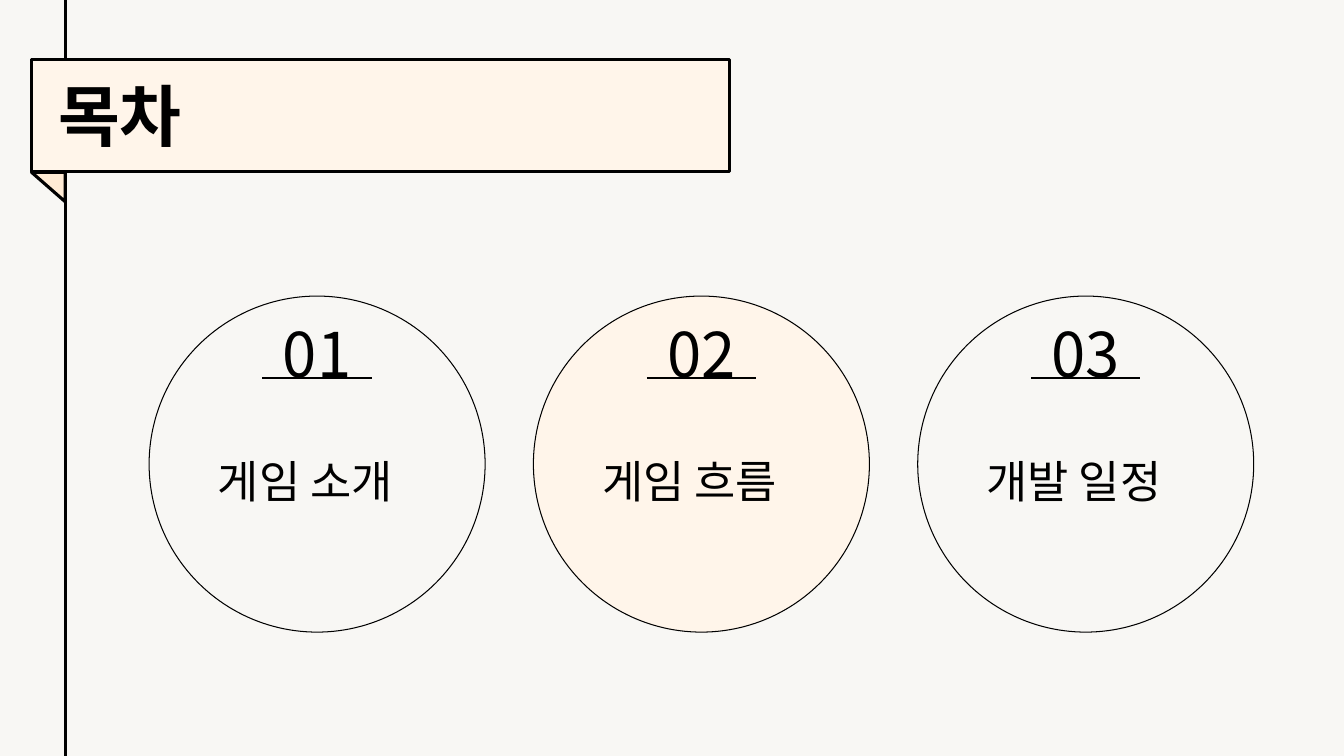
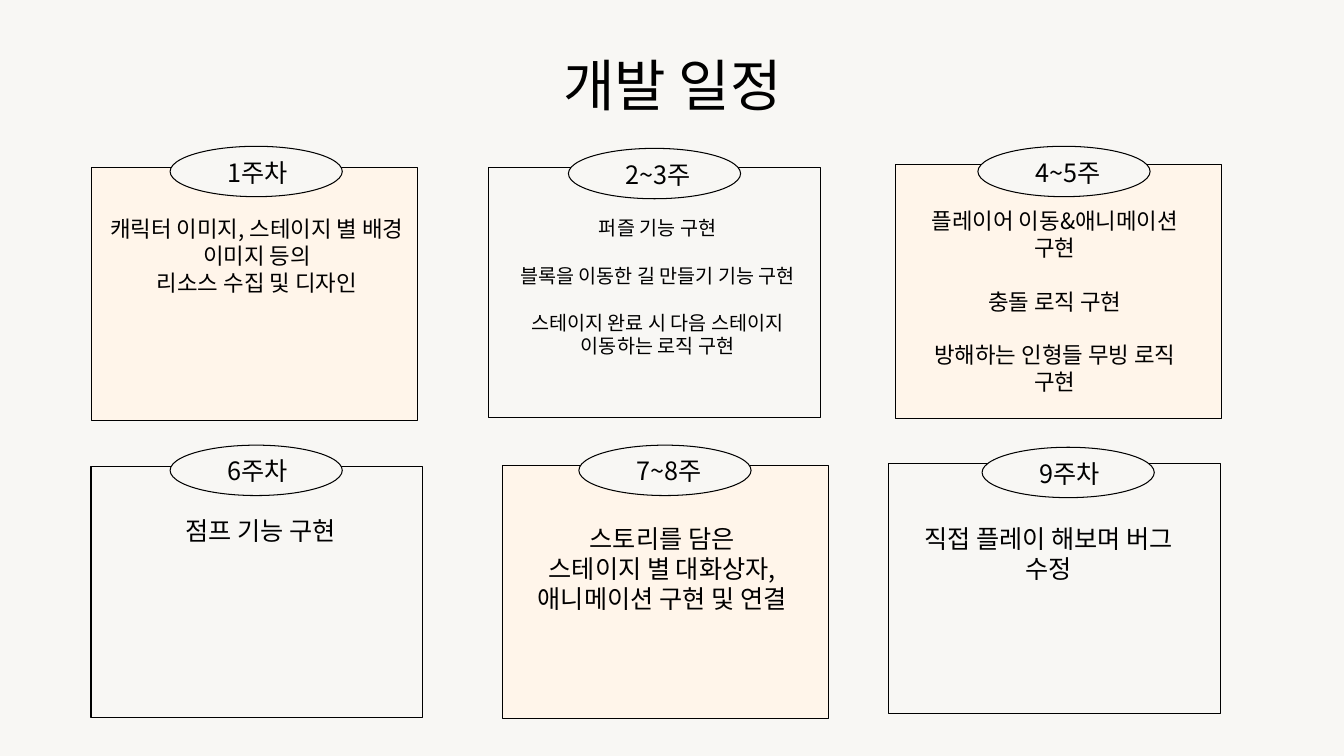
import pptx
import pptx.util
import pptx.dml.color
import pptx.enum.shapes
import pptx.enum.text
import pptx.oxml.ns
import lxml.etree

Pt = pptx.util.Pt
RGB = pptx.dml.color.RGBColor.from_string
MSO = pptx.enum.shapes.MSO_SHAPE
ALIGN = pptx.enum.text.PP_ALIGN
qn = pptx.oxml.ns.qn

COLORS = {"paper": "F8F7F4", "cream": "FFF5EA", "fold": "FFEBD5", "ink": "000000"}
FONT = "Noto Sans CJK KR"

prs = pptx.Presentation()
prs.slide_width, prs.slide_height = Pt(960), Pt(540)


def add_shape(s, kind, x, y, w, h, fill, line):
    sp = s.shapes.add_shape(kind, Pt(x), Pt(y), Pt(w), Pt(h))
    sp.shadow.inherit = False
    sp.fill.solid()
    sp.fill.fore_color.rgb = RGB(COLORS[fill])
    sp.line.color.rgb = RGB(COLORS["ink"])
    sp.line.width = Pt(line)
    return sp


def add_text(s, x, y, w, h, lines, size, align=ALIGN.LEFT, bold=False, gap=0):
    tf = s.shapes.add_textbox(Pt(x), Pt(y), Pt(w), Pt(h)).text_frame
    tf.word_wrap = True
    style = {"size": Pt(size), "bold": bold, "name": FONT}
    for i, line in enumerate(lines):
        p = tf.paragraphs[0] if i == 0 else tf.add_paragraph()
        p.alignment = align
        if i:
            p.space_before = Pt(gap)
        r = p.add_run()
        r.text = line
        for key, value in style.items():
            setattr(r.font, key, value)
        r.font.color.rgb = RGB(COLORS["ink"])
        # Korean glyphs use the East Asian font slot
        lxml.etree.SubElement(r.font._element, qn("a:ea"), typeface=FONT)


# Both slides: blank layout on a paper background
slides = []
for _ in range(2):
    s = prs.slides.add_slide(prs.slide_layouts[6])
    s.background.fill.solid()
    s.background.fill.fore_color.rgb = RGB(COLORS["paper"])
    slides.append(s)
contents, schedule = slides

# Contents: lines are the margin rule and one underline per circle
CIRCLE_X, CIRCLE_Y, CIRCLE_D, PITCH = 106.5, 211.5, 240, 274.5
circles = [(CIRCLE_X + i * PITCH, topic, fill) for i, (topic, fill) in enumerate([
    ("게임 소개", "paper"), ("게임 흐름", "cream"), ("개발 일정", "paper")])]
rules = [(47, 0, 47, 540, 2.25)]
for x, topic, fill in circles:
    mid = x + CIRCLE_D / 2
    add_shape(contents, MSO.OVAL, x, CIRCLE_Y, CIRCLE_D, CIRCLE_D, fill, 0.75)
    rules.append((mid - 39, 270, mid + 39, 270, 1.5))
for x1, y1, x2, y2, width in rules:
    line = contents.shapes.add_connector(
        pptx.enum.shapes.MSO_CONNECTOR.STRAIGHT, Pt(x1), Pt(y1), Pt(x2), Pt(y2))
    line.line.color.rgb = RGB(COLORS["ink"])
    line.line.width = Pt(width)
    lxml.etree.SubElement(line._element.spPr, qn("a:effectLst"))

# Contents: ribbon with its fold, and the title
add_shape(contents, MSO.RECTANGLE, 22.5, 42.5, 498.5, 80, "cream", 2.25)
fold = add_shape(contents, MSO.ISOSCELES_TRIANGLE, 22.5, 123, 24, 21, "fold", 2.25)
fold.adjustments[0] = 0
fold.rotation = 180
add_text(contents, 34.5, 49.5, 487, 65.5, ["목차"], 48, bold=True)

# Contents: number and topic in each circle
for number, (x, topic, fill) in enumerate(circles, 1):
    add_text(contents, x + CIRCLE_D / 2 - 49, 222, 98, 60.5, [f"{number:02}"], 44, ALIGN.CENTER)
    add_text(contents, x + 42, 320.5, 157, 46, [topic], 32)

# Schedule: title
add_text(schedule, 237, 32.5, 487, 55.5, ["개발 일정"], 40, ALIGN.CENTER)

# Schedule: fill -> card width, height, outline
CARDS = {"cream": (233, 181, 0.25), "paper": (237, 179, 0.75)}
# week, fill, card left/top, badge left/top, text left/top/width, size, blank line between, tasks
weeks = [
    ("1주차", "cream", (65, 119.5), (121.5, 104.5), (70.5, 150, 226), 16, False,
     ["캐릭터 이미지, 스테이지 별 배경 이미지 등의", "리소스 수집 및 디자인"]),
    ("2~3주", "paper", (349, 119.5), (406, 106), (358.5, 151, 222.5), 14, True,
     ["퍼즐 기능 구현", "블록을 이동한 길 만들기 기능 구현",
      "스테이지 완료 시 다음 스테이지 이동하는 로직 구현"]),
    ("4~5주", "cream", (639.5, 117.5), (698.5, 104.5), (645, 144.5, 217), 16, True,
     ["플레이어 이동&애니메이션 구현", "충돌 로직 구현", "방해하는 인형들 무빙 로직 구현"]),
    ("6주차", "paper", (65, 333.5), (121.5, 318), (83, 364.5, 206), 18, False,
     ["점프 기능 구현"]),
    ("7~8주", "cream", (358.5, 332), (413.5, 318), (376, 370, 194), 18, False,
     ["스토리를 담은", "스테이지 별 대화상자,", "애니메이션 구현 및 연결"]),
    ("9주차", "paper", (635, 331), (701.5, 319.5), (653, 370, 192), 18, False,
     ["직접 플레이 해보며 버그 수정"]),
]
for week, fill, (x, y), (bx, by), (tx, ty, tw), size, spaced, tasks in weeks:
    w, h, outline = CARDS[fill]
    add_shape(schedule, MSO.RECTANGLE, x, y, w, h, fill, outline)
    add_shape(schedule, MSO.OVAL, bx, by, 123, 36, "paper", 0.75)
    add_text(schedule, bx + 34, by + 4, 73.5, 29, [week], 18)
    add_text(schedule, tx, ty, tw, y + h - ty, tasks, size, ALIGN.CENTER,
             gap=1.2 * size if spaced else 0)

prs.save("out.pptx")
